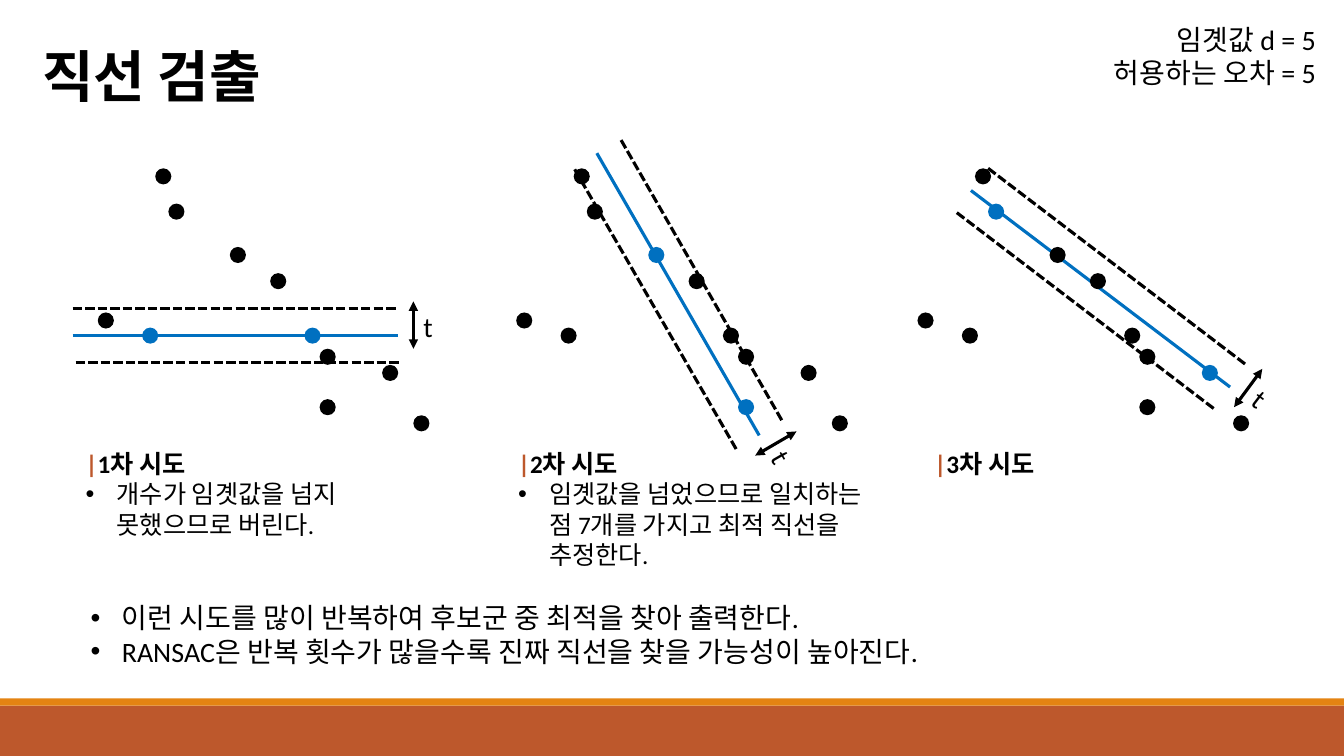
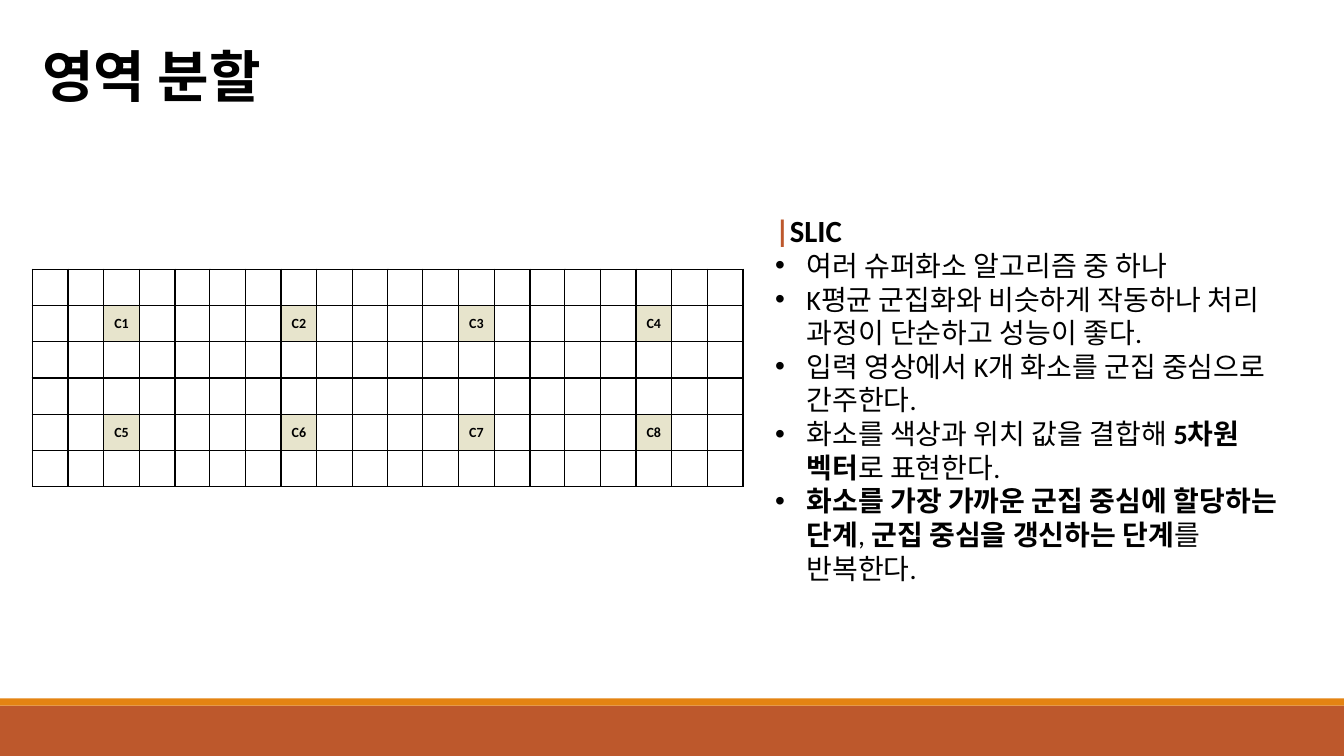
from lxml.etree import SubElement
from pptx import Presentation
from pptx.dml.color import RGBColor
from pptx.enum.dml import MSO_LINE_DASH_STYLE as DASH
from pptx.enum.shapes import MSO_CONNECTOR as CONN, MSO_SHAPE as SHAPE
from pptx.enum.text import MSO_ANCHOR as ANCHOR, MSO_AUTO_SIZE as AUTO, PP_ALIGN as ALIGN
from pptx.oxml import parse_xml
from pptx.oxml.ns import nsdecls, qn
from pptx.util import Pt

BLACK, WHITE, BLUE = "000000", "FFFFFF", "0070C0"
RUST, ORANGE, SAND = "BD582C", "E48312", "E7E4CC"
BODY_FONT, TITLE_FONT = "Calibri", "Noto Sans CJK KR"
WIDTH, HEIGHT = 1333, 750


def px(n):
    return n * 9144


def rgb(value):
    return RGBColor.from_string(value)


class Deck:
    def __init__(self):
        self.prs = Presentation()
        self.prs.slide_width, self.prs.slide_height = px(WIDTH), px(HEIGHT)
        self.slide = None

    def new_slide(self, title):
        self.slide = self.prs.slides.add_slide(self.prs.slide_layouts[5])
        self.shape(SHAPE.RECTANGLE, 0, 700, WIDTH, 50, RUST)
        self.shape(SHAPE.RECTANGLE, 0, 693, WIDTH, 7, ORANGE)
        sp = self.slide.shapes.title
        sp.left, sp.top, sp.width, sp.height = px(32), px(36), px(264), px(77)
        tf = sp.text_frame
        tf.word_wrap, tf.auto_size, tf.vertical_anchor = True, AUTO.NONE, ANCHOR.MIDDLE
        p = tf.paragraphs[0]
        p.alignment = ALIGN.LEFT
        r = self.run(p, title, 40, bold=True, font=TITLE_FONT)
        SubElement(r.font._element, qn("a:ea")).set("typeface", TITLE_FONT)

    def run(self, p, text, size, color=BLACK, bold=False, font=BODY_FONT):
        r = p.add_run()
        r.text = text
        r.font.name, r.font.size, r.font.bold = font, Pt(size), bold
        r.font.color.rgb = rgb(color)
        return r

    def shape(self, kind, x, y, w, h, fill):
        sp = self.slide.shapes.add_shape(kind, px(x), px(y), px(w), px(h))
        sp.shadow.inherit = False
        sp.fill.solid()
        sp.fill.fore_color.rgb = rgb(fill)
        sp.line.fill.background()

    def dot(self, x, y, color):
        self.shape(SHAPE.OVAL, x, y, 16, 16, color)

    def line(self, ends, color=BLACK, dashed=False, arrows=False):
        cx = self.slide.shapes.add_connector(CONN.STRAIGHT, *map(px, ends))
        cx.line.color.rgb, cx.line.width = rgb(color), Pt(2.25)
        if dashed:
            cx.line.dash_style = DASH.SQUARE_DOT
        if arrows:
            ln = cx.line._get_or_add_ln()
            for tag in ("a:headEnd", "a:tailEnd"):
                SubElement(ln, qn(tag)).set("type", "triangle")
        SubElement(cx._element.spPr, qn("a:effectLst"))

    def text(self, x, y, w, h, size, heading=None, items=(), bullets=True,
             align=ALIGN.LEFT, rotation=0, heading_size=None):
        sp = self.slide.shapes.add_textbox(px(x), px(y), px(w), px(h))
        sp.rotation = rotation
        tf = sp.text_frame
        tf.word_wrap = True
        p = tf.paragraphs[0]
        if heading:
            self.run(p, "|", heading_size or size, RUST, True)
            self.run(p, heading, heading_size or size, bold=True)
        for i, parts in enumerate(items):
            if i or heading:
                p = tf.add_paragraph()
            p.alignment = align
            if bullets:
                self.bullet(p)
            for text, bold in parts:
                self.run(p, text, size, bold=bold)

    def bullet(self, p):
        ppr = p._p.get_or_add_pPr()
        ppr.set("marL", str(px(31)))
        ppr.set("indent", str(-px(31)))
        SubElement(ppr, qn("a:buFont")).set("typeface", "Arial")
        SubElement(ppr, qn("a:buChar")).set("char", "•")

    def table(self, x, y, w, h, rows, cols, labels):
        frame = self.slide.shapes.add_table(rows, cols, px(x), px(y), px(w), px(h))
        table = frame.table
        table.first_row = table.horz_banding = False
        for col in table.columns:
            col.width = px(w) // cols
        for row in table.rows:
            row.height = px(h) // rows
        for r in range(rows):
            for c in range(cols):
                self.cell(table.cell(r, c), labels.get((r, c)))

    def cell(self, cell, label):
        cell.margin_top = cell.margin_bottom = 0
        cell.vertical_anchor = ANCHOR.MIDDLE
        cell.fill.solid()
        cell.fill.fore_color.rgb = rgb(SAND if label else WHITE)
        for i, side in enumerate("LRTB"):
            cell._tc.get_or_add_tcPr().insert(i, parse_xml(
                f'<a:ln{side} w="12700" {nsdecls("a")}><a:solidFill>'
                f'<a:srgbClr val="{BLACK}"/></a:solidFill></a:ln{side}>'))
        if label:
            p = cell.text_frame.paragraphs[0]
            p.alignment = ALIGN.CENTER
            self.run(p, label, 10, bold=True)


def plain(*lines):
    return [[(line, False)] for line in lines]


POINTS = [(154, 167), (167, 202), (228, 245), (268, 271), (317, 346), (317, 396),
          (379, 362), (410, 412), (97, 310), (141, 325), (302, 325)]

TRIALS = [
    dict(shift=0, chosen=(9, 10), fit=(72, 333, 395, 333),
         limits=[(72, 306, 395, 306), (75, 360, 397, 360)],
         arrow=(410, 299, 410, 346), mark=(410, 302), angle=0,
         box=(75, 440, 335, 101), heading="1차 시도",
         notes=["개수가 임곗값을 넘지 못했으므로 버린다."]),
    dict(shift=415, chosen=(2, 5), fit=(592, 152, 753, 432),
         limits=[(616, 139, 776, 418), (570, 168, 731, 447)],
         arrow=(790, 428, 749, 452), mark=(756, 439), angle=60.1,
         box=(504, 440, 365, 131), heading="2차 시도",
         notes=["임곗값을 넘었으므로 일치하는 점 7개를 가지고 최적 직선을 추정한다."]),
    dict(shift=813, chosen=(1, 6), fit=(963, 189, 1220, 384),
         limits=[(980, 167, 1236, 362), (949, 211, 1206, 407)],
         arrow=(1252, 366, 1224, 404), mark=(1233, 379), angle=37.3,
         box=(917, 440, 223, 40), heading="3차 시도", notes=[]),
]


def line_detection(deck):
    deck.new_slide("직선 검출")
    for trial in TRIALS:
        deck.line(trial["fit"], BLUE)
        for limit in trial["limits"]:
            deck.line(limit, dashed=True)
        deck.line(trial["arrow"], arrows=True)
        deck.text(*trial["mark"], 47, 44, 20, items=plain("t"), bullets=False,
                  rotation=trial["angle"])
        for i, (x, y) in enumerate(POINTS):
            deck.dot(x + trial["shift"], y, BLUE if i in trial["chosen"] else BLACK)
        deck.text(*trial["box"], 18, trial["heading"], plain(*trial["notes"]))
    deck.text(80, 591, 1011, 77, 20, items=plain(
        "이런 시도를 많이 반복하여 후보군 중 최적을 찾아 출력한다.",
        "RANSAC은 반복 횟수가 많을수록 진짜 직선을 찾을 가능성이 높아진다."))
    deck.text(1048, 17, 267, 77, 20, bullets=False, align=ALIGN.RIGHT,
              items=plain("임곗값 d = 5", "허용하는 오차 = 5"))


def region_segmentation(deck):
    deck.new_slide("영역 분할")
    deck.text(759, 205, 542, 384, 20, "SLIC", plain(
        "여러 슈퍼화소 알고리즘 중 하나",
        "K평균 군집화와 비슷하게 작동하나 처리 과정이 단순하고 성능이 좋다.",
        "입력 영상에서 K개 화소를 군집 중심으로 간주한다.") + [
        [("화소를 색상과 위치 값을 결합해 ", False), ("5차원 벡터", True),
         ("로 표현한다.", False)],
        [("화소를 가장 가까운 군집 중심에 할당하는 단계", True), (", ", False),
         ("군집 중심을 갱신하는 단계", True), ("를 반복한다.", False)],
    ], heading_size=22)
    for i in range(8):
        row, col = divmod(i, 4)
        deck.table(32 + 176 * col, 267 + 108 * row, 177, 108, 3, 5,
                   {(1, 2): f"C{i + 1}"})


def main():
    deck = Deck()
    line_detection(deck)
    region_segmentation(deck)
    deck.prs.save("out.pptx")


if __name__ == "__main__":
    main()
